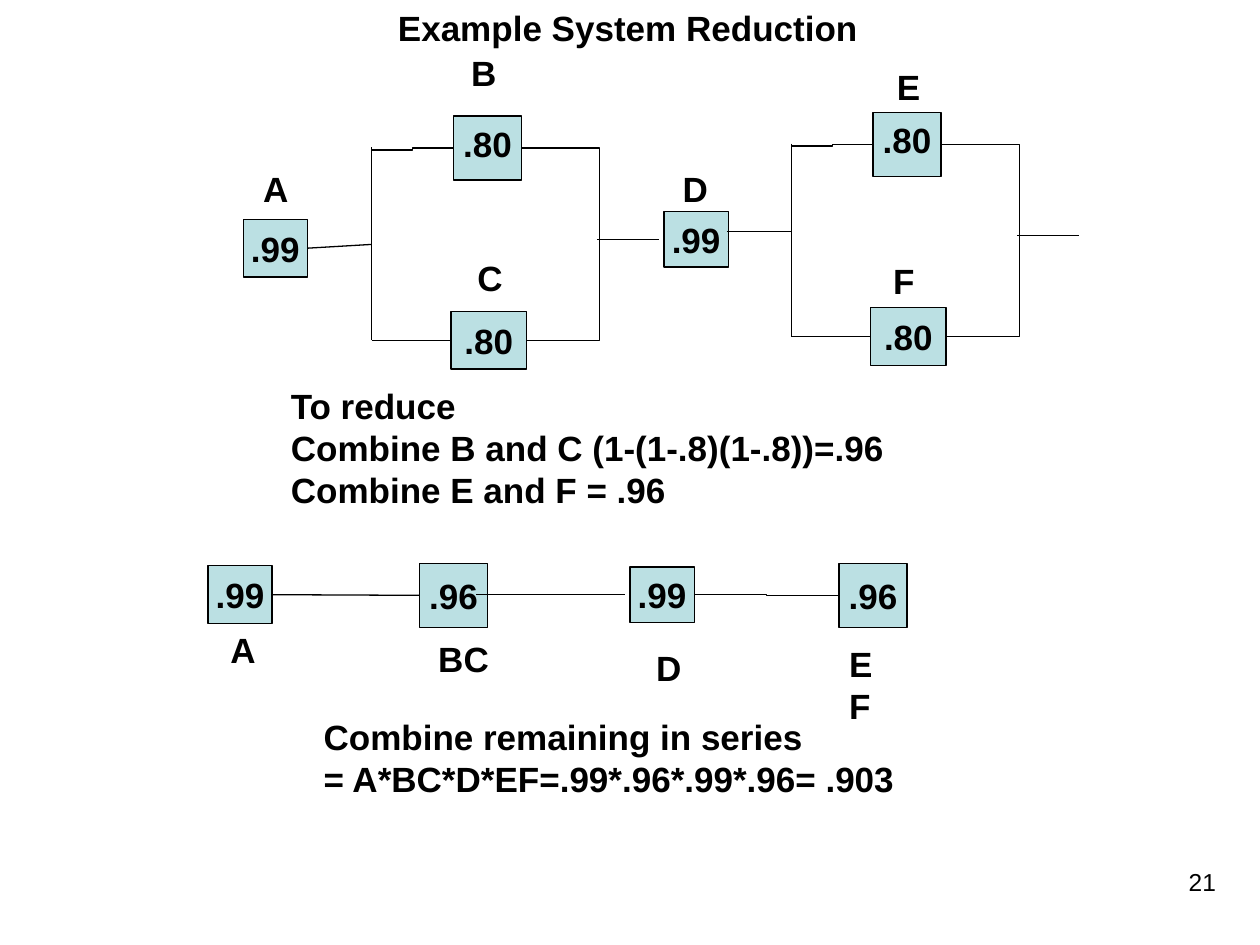
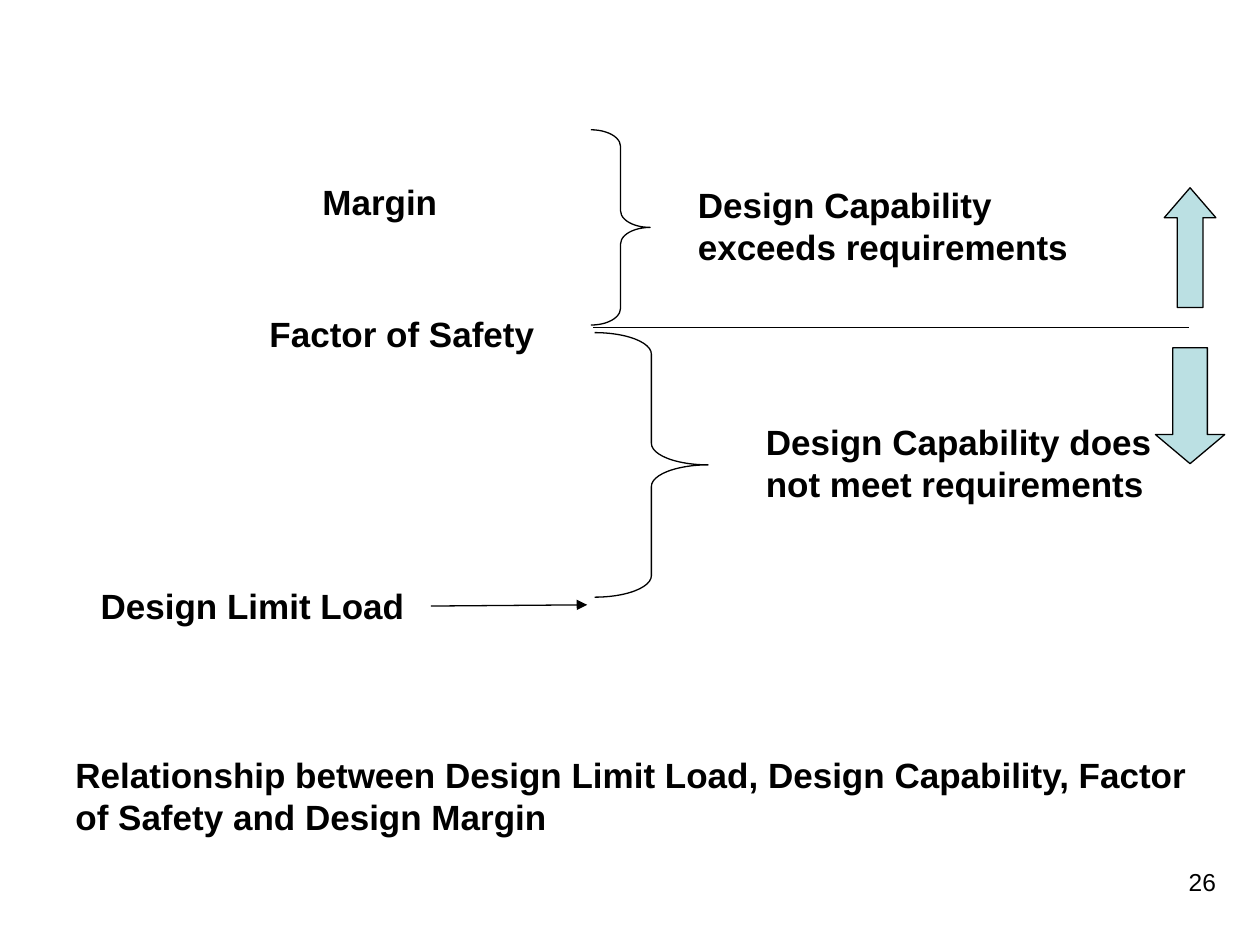
from dataclasses import dataclass

from lxml import etree
from pptx import Presentation
from pptx.dml.color import RGBColor
from pptx.enum.shapes import MSO_CONNECTOR, MSO_SHAPE
from pptx.enum.text import MSO_ANCHOR, MSO_AUTO_SIZE, PP_ALIGN
from pptx.oxml.ns import qn
from pptx.util import Emu, Pt

RECT, BRACE = MSO_SHAPE.RECTANGLE, MSO_SHAPE.RIGHT_BRACE
UP, DOWN = MSO_SHAPE.UP_ARROW, MSO_SHAPE.DOWN_ARROW
STRAIGHT, ELBOW = MSO_CONNECTOR.STRAIGHT, MSO_CONNECTOR.ELBOW
TOP, MIDDLE = MSO_ANCHOR.TOP, MSO_ANCHOR.MIDDLE
LEFT, CENTER, RIGHT = PP_ALIGN.LEFT, PP_ALIGN.CENTER, PP_ALIGN.RIGHT
FIT, NO_FIT = MSO_AUTO_SIZE.SHAPE_TO_FIT_TEXT, MSO_AUTO_SIZE.NONE
LEFT_SIDE, RIGHT_SIDE = 1, 3
PX = 9144  # 100 px to the inch


@dataclass(frozen=True)
class Theme:
    ink: RGBColor = RGBColor(0x00, 0x00, 0x00)
    block: RGBColor = RGBColor(0xBB, 0xE0, 0xE3)
    font: str = "Arial"
    body: int = 20
    number: int = 14
    line: float = 0.75


def px(*values):
    return [Emu(round(v * PX)) for v in values]


def set_all(target, values):
    for name, value in values.items():
        setattr(target, name, value)


class Deck:
    def __init__(self, theme):
        self.theme = theme
        self.prs = Presentation()
        self.prs.slide_width, self.prs.slide_height = px(1000, 750)
        self.s = None

    def slide(self, number):
        self.s = self.prs.slides.add_slide(self.prs.slide_layouts[6])
        self.text(str(number), 742, 683, 233, 52, wrap=True, align=RIGHT,
                  size=self.theme.number, bold=False, fit=NO_FIT)

    def fill_text(self, tf, text, align, size, bold):
        font = {"name": self.theme.font, "size": Pt(size), "bold": bold}
        for i, line in enumerate(text.split("\n")):
            p = tf.add_paragraph() if i else tf.paragraphs[0]
            p.alignment = align
            r = p.add_run()
            r.text = line
            set_all(r.font, font)
            r.font.color.rgb = self.theme.ink

    def text(self, text, x, y, w, h=44, wrap=False, align=LEFT, size=None,
             bold=True, fit=FIT):
        tf = self.s.shapes.add_textbox(*px(x, y, w, h)).text_frame
        set_all(tf, {"word_wrap": wrap, "auto_size": fit})
        self.fill_text(tf, text, align, size or self.theme.body, bold)

    def outline(self, sp):
        sp.line.color.rgb = self.theme.ink
        sp.line.width = Pt(self.theme.line)

    def shape(self, kind, x, y, w, h, adjust=(), filled=True):
        sp = self.s.shapes.add_shape(kind, *px(x, y, w, h))
        sp.shadow.inherit = False
        for i, value in enumerate(adjust):
            sp.adjustments[i] = value
        if filled:
            sp.fill.solid()
            sp.fill.fore_color.rgb = self.theme.block
        else:
            sp.fill.background()
        self.outline(sp)
        return sp

    def block(self, text, x, y, w, h, anchor=MIDDLE):
        sp = self.shape(RECT, x, y, w, h)
        set_all(sp.text_frame, {"word_wrap": False, "vertical_anchor": anchor})
        self.fill_text(sp.text_frame, text, CENTER, self.theme.body, True)
        return sp

    def line(self, start, end, kind=STRAIGHT, begin=None, finish=None,
             corner=False, arrow=False):
        c = self.s.shapes.add_connector(kind, *px(*start, *end))
        self.outline(c)
        pr = c._element.spPr
        if corner:
            pr.find(qn("a:prstGeom")).set("prst", "bentConnector2")
        if arrow:
            etree.SubElement(pr.find(qn("a:ln")), qn("a:tailEnd"), type="triangle")
        etree.SubElement(pr, qn("a:effectLst"))
        if begin:
            c.begin_connect(begin, RIGHT_SIDE)
        if finish:
            c.end_connect(finish, LEFT_SIDE)


def parallel_pair(deck, dx, dy):
    """Two blocks, one above the other, between a left and a right bus."""
    left, right = 295 + dx, 476 + dx
    upper = deck.block(".80", 360 + dx, 92 + dy, 54, 51, anchor=TOP)
    lower = deck.block(".80", 358 + dx, 247 + dy, 60, 46)
    # Left bus
    deck.line((left, 117 + dy), (left, 270 + dy))
    deck.line((left, 119 + dy), (360 + dx, 117 + dy), ELBOW, finish=upper)
    deck.line((left, 270 + dy), (358 + dx, 270 + dy), finish=lower)
    # Right bus
    deck.line((414 + dx, 117 + dy), (right, 147 + dy), ELBOW, begin=upper, corner=True)
    deck.line((right, 147 + dy), (right, 245 + dy))
    deck.line((418 + dx, 270 + dy), (right, 245 + dy), ELBOW, begin=lower, corner=True)
    deck.line((474 + dx, 190 + dy), (523 + dx, 190 + dy))


def system_reduction(deck):
    deck.slide(21)
    deck.text("Example System Reduction", 306, 0, 385)

    # Full system
    a = deck.block(".99", 193, 174, 51, 46)
    deck.block(".99", 527, 168, 51, 44)
    for dx, dy in ((0, 0), (333, -3)):
        parallel_pair(deck, dx, dy)
    deck.line((244, 197), (295, 194), begin=a)
    deck.line((577, 184), (628, 184))

    # Reduced system
    a = deck.block(".99", 165, 449, 51, 46)
    bc = deck.block(".96", 333, 447, 54, 51)
    d = deck.block(".99", 500, 450, 51, 44)
    ef = deck.block(".96", 666, 447, 54, 51)
    deck.line((216, 472), (333, 472), begin=a, finish=bc)
    deck.line((378, 472), (496, 472))
    deck.line((551, 472), (666, 472), ELBOW, begin=d, finish=ef)

    # Block names
    for name, x, y, w in (
        ("A", 199, 128, 40), ("B", 364, 36, 40), ("C", 369, 199, 40),
        ("D", 532, 128, 40), ("E", 702, 47, 38), ("F", 699, 201, 37),
        ("A", 173, 494, 40), ("BC", 338, 501, 60), ("D", 511, 508, 40),
        ("EF", 664, 505, 55),
    ):
        deck.text(name, x, y, w)

    # Working
    deck.text("To reduce\nCombine B and C (1-(1-.8)(1-.8))=.96\nCombine E and F = .96",
              221, 300, 651, 110, wrap=True)
    deck.text("Combine remaining in series\n= A*BC*D*EF=.99*.96*.99*.96= .903",
              247, 563, 474, 77)


def design_margin(deck):
    deck.slide(26)

    # Load levels
    deck.text("Margin", 246, 138, 111)
    deck.text("Factor of Safety", 204, 243, 230)
    deck.text("Design Limit Load", 70, 459, 261)
    deck.line((342, 481), (466, 480), arrow=True)
    deck.line((471, 260), (944, 260))

    # Ranges above and below the factor of safety
    deck.shape(BRACE, 469, 103, 47, 155, (0.28, 0.5), filled=False)
    deck.shape(BRACE, 472, 264, 90, 210, (0.19, 0.5), filled=False)
    deck.shape(UP, 924, 149, 41, 95, (0.5, 0.58))
    deck.shape(DOWN, 917, 276, 55, 92, (0.5, 0.42))
    deck.text("Design Capability exceeds requirements", 544, 141, 356, 77, wrap=True)
    deck.text("Design Capability does not meet requirements", 598, 329, 356, 77, wrap=True)

    # Caption
    deck.text("Relationship between Design Limit Load, Design Capability, Factor "
              "of Safety and Design Margin", 50, 593, 932, 77, wrap=True)


def main():
    deck = Deck(Theme())
    system_reduction(deck)
    design_margin(deck)
    deck.prs.save("out.pptx")


if __name__ == "__main__":
    main()
